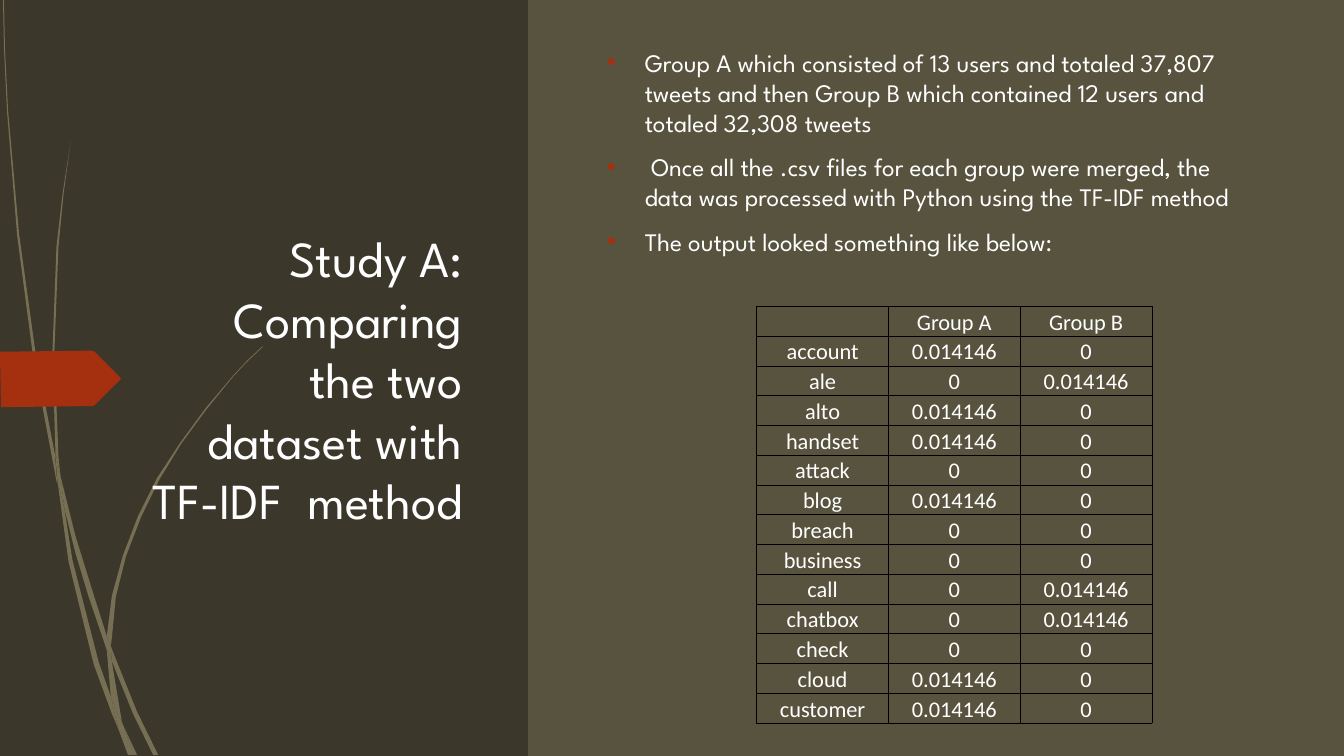
from lxml import etree
from pptx import Presentation
from pptx.dml.color import RGBColor
from pptx.enum.shapes import MSO_SHAPE
from pptx.enum.text import MSO_ANCHOR, PP_ALIGN
from pptx.oxml.ns import qn
from pptx.util import Cm, Pt

COLORS = {"title panel": "3B372A", "body panel": "58533E", "grass": "766F54",
          "accent": "A53010", "text": "FFFFFF", "border": "000000"}
FONT, TABLE_FONT = "League Spartan", "Calibri"

TITLE = "Study A:\v Comparing the two dataset with TF-IDF  method"
BULLETS = [
    "Group A which consisted of 13 users and totaled 37,807 tweets and then "
    "Group B which contained 12 users and totaled 32,308 tweets",
    " Once all the .csv files for each group were merged, the data was "
    "processed with Python using the TF-IDF method",
    "The output looked something like below:",
]
SCORES = [
    ("", "Group A", "Group B"),
    ("account", "0.014146", "0"),
    ("ale", "0", "0.014146"),
    ("alto", "0.014146", "0"),
    ("handset", "0.014146", "0"),
    ("attack", "0", "0"),
    ("blog", "0.014146", "0"),
    ("breach", "0", "0"),
    ("business", "0", "0"),
    ("call", "0", "0.014146"),
    ("chatbox", "0", "0.014146"),
    ("check", "0", "0"),
    ("cloud", "0.014146", "0"),
    ("customer", "0.014146", "0"),
]

# Outline corners, in units of 0.0254 cm
UNIT = Cm(0.0254)
GRASS = [
    [(7, 110), (17, 233), (33, 355), (56, 477), (57, 481), (55, 457), (55, 453),
     (36, 355), (19, 232), (8, 109), (5, 48), (4, 0), (3, 0), (4, 48)],
    [(88, 592), (106, 645), (106, 633), (106, 631), (93, 590), (75, 532),
     (60, 472), (64, 505), (75, 549)],
    [(113, 649), (110, 641), (111, 656), (132, 708), (152, 749), (157, 749),
     (136, 706)],
    [(110, 691), (98, 657), (72, 556), (64, 505), (57, 477), (68, 557),
     (93, 659), (111, 708), (117, 722), (116, 717)],
    [(60, 472), (58, 453), (54, 349), (58, 245), (63, 193), (70, 141), (62, 193),
     (56, 245), (52, 349), (55, 449)],
    [(133, 749), (136, 749), (122, 719)],
    [(57, 477), (64, 505), (60, 472), (55, 449), (55, 453)],
    [(111, 633), (115, 592), (125, 552), (140, 513), (158, 476), (180, 440),
     (205, 406), (231, 374), (245, 359), (261, 344), (260, 344), (245, 358),
     (231, 373), (204, 405), (179, 439), (156, 474), (137, 512), (122, 551),
     (111, 591), (106, 631), (110, 641)],
    [(117, 722), (127, 749), (131, 749)],
    [(106, 645), (110, 691), (116, 706), (122, 719), (121, 716), (111, 656),
     (109, 651)],
    [(106, 645), (109, 651), (111, 656), (110, 641), (106, 631)],
    [(116, 706), (110, 691), (116, 717), (117, 722), (130, 749), (133, 749),
     (122, 719)],
]
POINTER = [(119, 377), (94, 402), (92, 403), (82, 403), (1, 404), (0, 349),
           (82, 348), (92, 348), (94, 349), (119, 374), (120, 376)]

SLIDE_W, SLIDE_H, TITLE_PANEL_W = Cm(33.87), Cm(19.05), Cm(13.31)
TITLE_BOX = Cm(3.38), Cm(3.05), Cm(8.53), Cm(12.98)
BULLETS_BOX = Cm(14.73), Cm(0.38), Cm(17.27), Cm(6.88)
TABLE_LEFT, TABLE_TOP, COLUMN_W, ROW_H = Cm(19.07), Cm(7.72), Cm(3.32), Cm(0.75)


def color(name):
    return RGBColor.from_string(COLORS[name])


def paint(shape, name):
    shape.fill.solid()
    shape.fill.fore_color.rgb = color(name)
    shape.line.fill.background()
    shape.shadow.inherit = False


def add_panel(slide, left, width, name):
    paint(slide.shapes.add_shape(MSO_SHAPE.RECTANGLE, left, 0, width, SLIDE_H), name)


def add_outline(slide, corners, name):
    builder = slide.shapes.build_freeform(*corners[0], scale=UNIT)
    builder.add_line_segments(corners[1:], close=True)
    paint(builder.convert_to_shape(), name)


def style_runs(paragraph, font, size):
    for run in paragraph.runs:
        run.font.name, run.font.size = font, Pt(size)
        run.font.color.rgb = color("text")


def add_text(slide, box, text, size):
    """Add a wrapped, vertically centred text box and return its paragraphs."""
    frame = slide.shapes.add_textbox(*box).text_frame
    frame.word_wrap = True
    frame.vertical_anchor = MSO_ANCHOR.MIDDLE
    frame.text = text
    for paragraph in frame.paragraphs:
        style_runs(paragraph, FONT, size)
    return frame.paragraphs


def add_bullet(paragraph):
    paragraph.space_before = Pt(10)
    props = paragraph._p.get_or_add_pPr()
    props.set("marL", str(Cm(1.27)))
    props.set("indent", str(-Cm(0.95)))
    bullet_color = etree.SubElement(props, qn("a:buClr"))
    etree.SubElement(bullet_color, qn("a:srgbClr"), val=COLORS["accent"])
    etree.SubElement(props, qn("a:buFont"), typeface="Arial")
    etree.SubElement(props, qn("a:buChar"), char="•")


def add_borders(cell):
    props = cell._tc.get_or_add_tcPr()
    for position, side in enumerate(("a:lnL", "a:lnR", "a:lnT", "a:lnB")):
        line = etree.Element(qn(side), w=str(Pt(0.5)))
        fill = etree.SubElement(line, qn("a:solidFill"))
        etree.SubElement(fill, qn("a:srgbClr"), val=COLORS["border"])
        props.insert(position, line)


def fill_cell(cell, text):
    cell.fill.background()
    cell.margin_left = cell.margin_right = cell.margin_top = Cm(0.02)
    cell.margin_bottom = 0
    cell.vertical_anchor = MSO_ANCHOR.BOTTOM
    cell.text = text
    paragraph = cell.text_frame.paragraphs[0]
    paragraph.alignment = PP_ALIGN.CENTER
    style_runs(paragraph, TABLE_FONT, 16)
    if not text:
        etree.SubElement(paragraph._p, qn("a:endParaRPr"), sz="1600")
    add_borders(cell)


def add_scores(slide):
    rows, columns = len(SCORES), len(SCORES[0])
    table = slide.shapes.add_table(rows, columns, TABLE_LEFT, TABLE_TOP,
                                   COLUMN_W * columns, ROW_H * rows).table
    table.first_row = table.horz_banding = False
    for r, row in enumerate(SCORES):
        for c, text in enumerate(row):
            fill_cell(table.cell(r, c), text)


def main():
    deck = Presentation()
    deck.slide_width, deck.slide_height = SLIDE_W, SLIDE_H
    slide = deck.slides.add_slide(deck.slide_layouts[6])
    add_panel(slide, 0, TITLE_PANEL_W, "title panel")
    add_panel(slide, TITLE_PANEL_W, SLIDE_W - TITLE_PANEL_W, "body panel")
    for blade in GRASS:
        add_outline(slide, blade, "grass")
    add_outline(slide, POINTER, "accent")
    for paragraph in add_text(slide, TITLE_BOX, TITLE, 36):
        paragraph.alignment = PP_ALIGN.RIGHT
    for paragraph in add_text(slide, BULLETS_BOX, "\n".join(BULLETS), 18):
        add_bullet(paragraph)
    add_scores(slide)
    deck.save("out.pptx")


if __name__ == "__main__":
    main()
